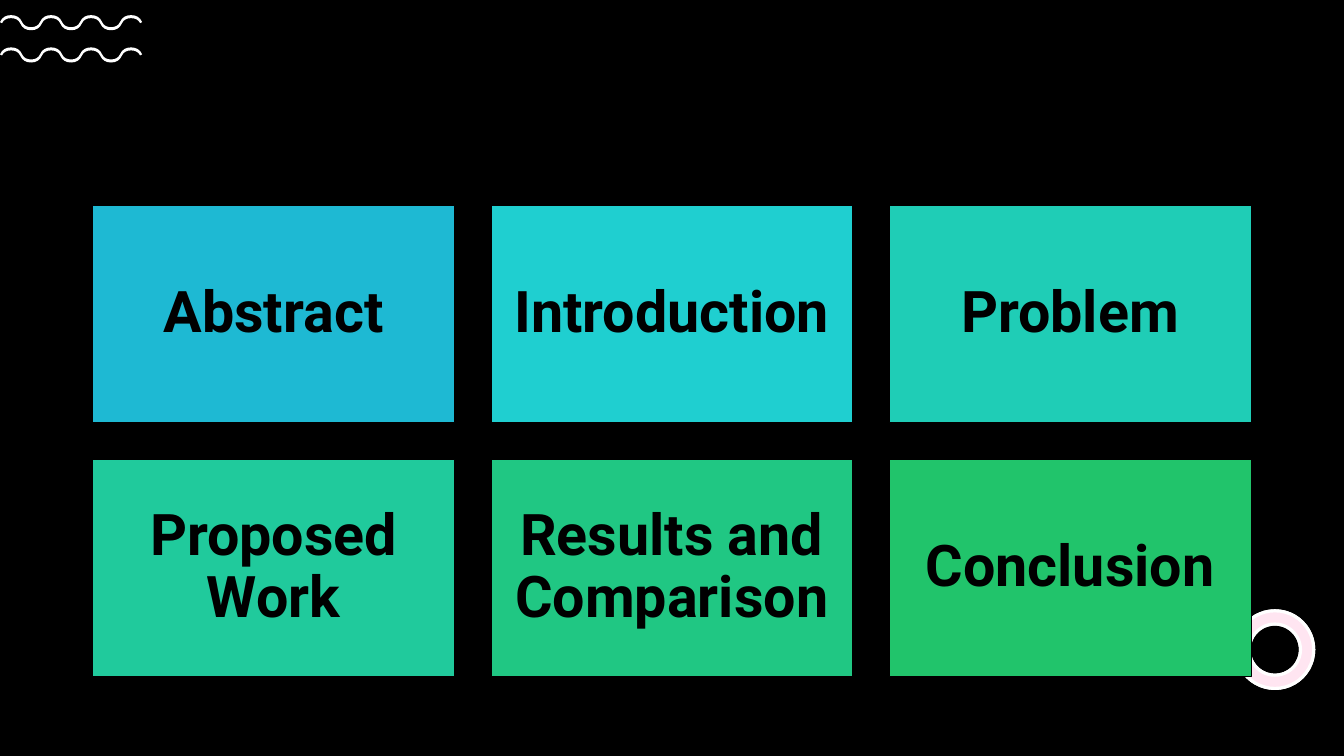
from dataclasses import dataclass

from lxml.etree import SubElement
from pptx import Presentation
from pptx.dml.color import RGBColor
from pptx.enum.shapes import MSO_SHAPE as Shape
from pptx.enum.text import MSO_ANCHOR as Anchor, PP_ALIGN as Align
from pptx.oxml.ns import qn
from pptx.util import Inches, Pt

SLIDE_W, SLIDE_H = 13.33, 7.5
GRID_LEFT, GRID_TOP = 0.92, 2.04
CARD_W, CARD_H = 3.59, 2.15
COLUMNS = 3
PITCH_X, PITCH_Y = 3.95, 2.52

BLACK = RGBColor(0x00, 0x00, 0x00)
WHITE = RGBColor(0xFF, 0xFF, 0xFF)
PINK = RGBColor(0xFF, 0x80, 0xBD)
BLUE = RGBColor(0x1E, 0xB9, 0xD3)
CYAN = RGBColor(0x1F, 0xCF, 0xD0)
TURQUOISE = RGBColor(0x1F, 0xCD, 0xB6)
TEAL = RGBColor(0x20, 0xCA, 0x9C)
JADE = RGBColor(0x20, 0xC7, 0x83)
GREEN = RGBColor(0x21, 0xC4, 0x6B)

Point = tuple[float, float]


@dataclass(frozen=True)
class Card:
    title: str
    color: RGBColor


CARDS = [
    Card("Abstract", BLUE),
    Card("Introduction", CYAN),
    Card("Problem", TURQUOISE),
    Card("Proposed Work", TEAL),
    Card("Results and Comparison", JADE),
    Card("Conclusion", GREEN),
]


def paint(sp, fill: RGBColor, line: RGBColor | None = None, width: float = 1) -> None:
    sp.shadow.inherit = False
    sp.fill.solid()
    sp.fill.fore_color.rgb = fill
    if line is None:
        sp.line.fill.background()
    else:
        sp.line.color.rgb = line
        sp.line.width = Pt(width)


def add_shape(slide, kind: Shape, x: float, y: float, w: float, h: float):
    return slide.shapes.add_shape(kind, Inches(x), Inches(y), Inches(w), Inches(h))


def write(sp, text: str, *, size: float, font: str, color: RGBColor,
          bold: bool = False, inset: float = 0.17, spacing: float = 0.9) -> None:
    tf = sp.text_frame
    tf.word_wrap = True
    tf.vertical_anchor = Anchor.MIDDLE
    tf.margin_left = tf.margin_right = Inches(inset)
    tf.margin_top = tf.margin_bottom = Inches(inset)
    p = tf.paragraphs[0]
    p.alignment = Align.CENTER
    p.line_spacing = spacing
    r = p.add_run()
    r.text = text
    r.font.size = Pt(size)
    r.font.name = font
    r.font.bold = bold
    r.font.color.rgb = color


def wave_edge(crest: float, trough: float, crossing: float, half: float) -> list[Point]:
    points = []
    for k in range(7):
        x = 0.11 + 1.19 * k / 6
        if k % 2:
            points.append((x, trough))
        else:
            points += [(x - half, crossing), (x, crest), (x + half, crossing)]
    return points


def between(a: Point, b: Point, share_x: float, share_y: float) -> Point:
    return a[0] + (b[0] - a[0]) * share_x, a[1] + (b[1] - a[1]) * share_y


def round_edges(sp, edge_size: int) -> None:
    outline = sp._element.spPr.find(".//" + qn("a:path"))
    points = [(int(pt.get("x")), int(pt.get("y"))) for pt in outline.iter(qn("a:pt"))]
    for i, line in enumerate(outline.findall(qn("a:lnTo")), start=1):
        if i == edge_size:
            continue
        start, end = points[i - 1], points[i]
        if i % edge_size % 2:
            controls = between(start, end, 0.18, 0.7), between(end, start, 0.45, 0)
        else:
            controls = between(start, end, 0.45, 0), between(end, start, 0.18, 0.7)
        line.tag = qn("a:cubicBezTo")
        line.clear()
        for x, y in (*controls, end):
            pt = SubElement(line, qn("a:pt"))
            pt.set("x", str(round(x)))
            pt.set("y", str(round(y)))


def add_wave(slide, top: float) -> None:
    upper = wave_edge(top, top + 0.12, top + 0.07, 0.11)
    lower = wave_edge(top + 0.03, top + 0.15, top + 0.08, 0.09)
    outline = [(Inches(x), Inches(y)) for x, y in upper + lower[::-1]]
    builder = slide.shapes.build_freeform(*outline[0])
    builder.add_line_segments(outline[1:], close=True)
    sp = builder.convert_to_shape()
    round_edges(sp, len(upper))
    paint(sp, WHITE)


def add_ring(slide, color: RGBColor, opacity: int = 100) -> None:
    sp = add_shape(slide, Shape.DONUT, 12.26, 6.06, 0.77, 0.77)
    sp.adjustments[0] = 0.17
    paint(sp, color, WHITE, 2.25)
    if opacity < 100:
        clr = sp._element.spPr.find(qn("a:solidFill"))[0]
        SubElement(clr, qn("a:alpha")).set("val", str(opacity * 1000))


def add_card(slide, index: int, card: Card) -> None:
    row, column = divmod(index, COLUMNS)
    sp = add_shape(slide, Shape.RECTANGLE, GRID_LEFT + column * PITCH_X,
                   GRID_TOP + row * PITCH_Y, CARD_W, CARD_H)
    paint(sp, card.color, BLACK)
    write(sp, card.title, size=41, font="Roboto", color=BLACK, bold=True)


def main() -> None:
    prs = Presentation()
    prs.slide_width, prs.slide_height = Inches(SLIDE_W), Inches(SLIDE_H)
    slide = prs.slides.add_slide(prs.slide_layouts[6])
    slide.background.fill.solid()
    slide.background.fill.fore_color.rgb = BLACK
    paint(add_shape(slide, Shape.RECTANGLE, 0, 0, SLIDE_W, SLIDE_H), BLACK)
    for top in (0.47, 0.15):
        add_wave(slide, top)
    add_ring(slide, WHITE)
    add_ring(slide, PINK, opacity=20)
    for index, card in enumerate(CARDS):
        add_card(slide, index, card)
    prs.save("out.pptx")


if __name__ == "__main__":
    main()
